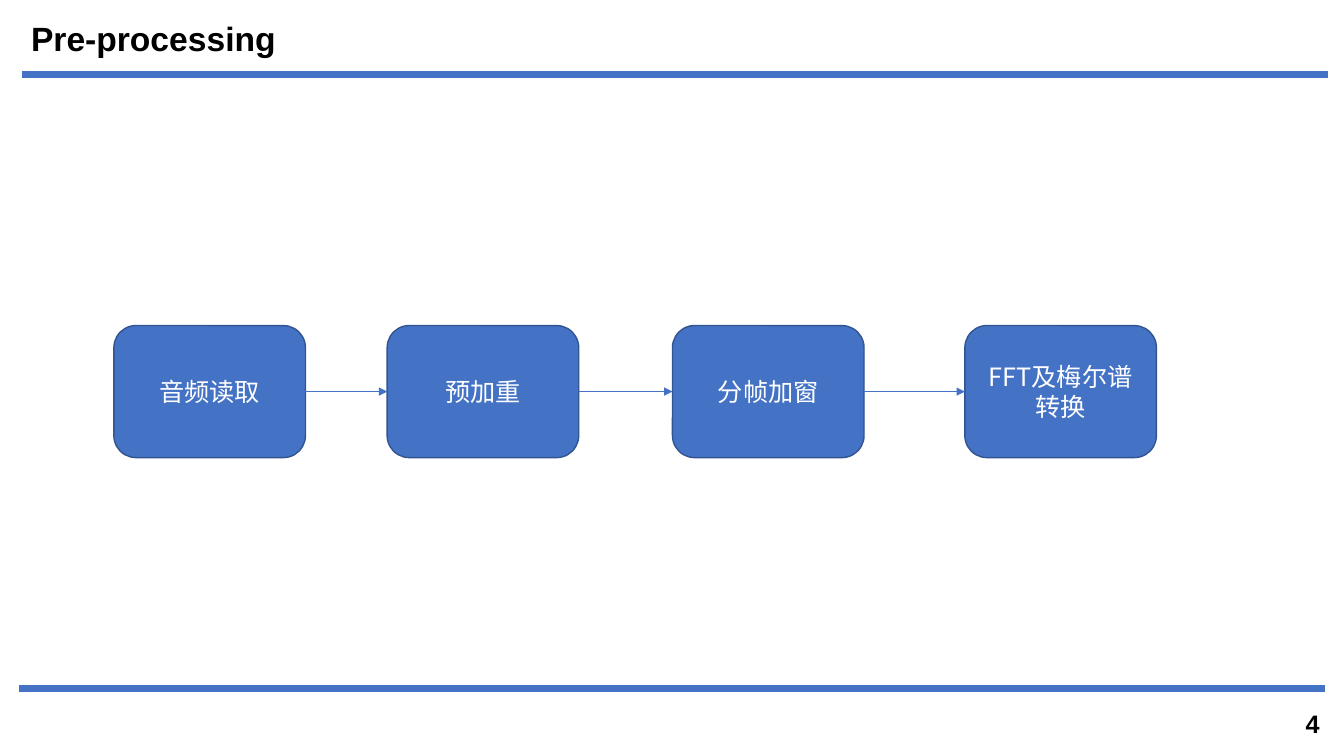
"""Build the Pre-processing slide: a four-step audio pipeline."""
from dataclasses import dataclass
from itertools import pairwise

from lxml import etree
from pptx import Presentation
from pptx import util as u
from pptx.dml.color import RGBColor
from pptx.enum import shapes, text
from pptx.oxml import ns

BLUE = RGBColor(0x44, 0x72, 0xC4)
DARK_BLUE = RGBColor(0x32, 0x54, 0x91)
BLACK = RGBColor(0, 0, 0)
WHITE = RGBColor(0xFF, 0xFF, 0xFF)

STEP_TOP, STEP_WIDTH, STEP_HEIGHT = 3.23, 1.9, 1.31
RULE_LENGTH = 12.95
LEFT_SITE, RIGHT_SITE = 1, 3


@dataclass
class Step:
    label: str
    left: float


@dataclass
class Label:
    content: str
    left: float
    top: float
    width: float
    height: float
    size: int


@dataclass
class Rule:
    left: float
    top: float


STEPS = [
    Step("音频读取", 1.13),
    Step("预加重", 3.84),
    Step("分帧加窗", 6.67),
    Step("FFT及梅尔谱转换", 9.57),
]
LABELS = [
    Label("Pre-processing", 0.21, 0.13, 8.77, 0.5, 24),
    Label("4", 12.85, 6.98, 0.29, 0.4, 18),
]
RULES = [Rule(0.22, 0.74), Rule(0.19, 6.83)]


def add_run(paragraph, content: str, font_name: str, size: int, color: RGBColor, bold: bool = False) -> None:
    """Append a run with the same font for Latin and East Asian text."""
    run = paragraph.add_run()
    run.text = content
    run.font.name = font_name
    run.font.size = u.Pt(size)
    run.font.bold = bold
    run.font.color.rgb = color
    east_asian = etree.SubElement(run.font._element, ns.qn("a:ea"))
    east_asian.set("typeface", font_name)


def add_label(slide, label: Label) -> None:
    """Add a bold black text box."""
    box = slide.shapes.add_textbox(
        u.Inches(label.left), u.Inches(label.top), u.Inches(label.width), u.Inches(label.height)
    )
    box.text_frame.word_wrap = True
    add_run(box.text_frame.paragraphs[0], label.content, "Arial", label.size, BLACK, bold=True)


def add_line(slide, left: float, top: float, length: float, weight: float):
    """Add a horizontal blue line without a shadow."""
    line = slide.shapes.add_connector(
        shapes.MSO_CONNECTOR.STRAIGHT,
        u.Inches(left), u.Inches(top), u.Inches(left + length), u.Inches(top),
    )
    line.line.color.rgb = BLUE
    line.line.width = u.Pt(weight)
    etree.SubElement(line._element.spPr, ns.qn("a:effectLst"))
    return line


def add_step(slide, step: Step):
    """Add a rounded box for one step."""
    shape = slide.shapes.add_shape(
        shapes.MSO_SHAPE.ROUNDED_RECTANGLE,
        u.Inches(step.left), u.Inches(STEP_TOP), u.Inches(STEP_WIDTH), u.Inches(STEP_HEIGHT),
    )
    shape.shadow.inherit = False
    shape.fill.solid()
    shape.fill.fore_color.rgb = BLUE
    shape.line.color.rgb = DARK_BLUE
    shape.line.width = u.Pt(1)
    shape.text_frame.word_wrap = True
    shape.text_frame.vertical_anchor = text.MSO_ANCHOR.MIDDLE
    paragraph = shape.text_frame.paragraphs[0]
    paragraph.alignment = text.PP_ALIGN.CENTER
    add_run(paragraph, step.label, "Noto Sans CJK SC", 18, WHITE)
    return shape


def add_arrow(slide, source, target) -> None:
    """Join two step boxes with an arrow."""
    arrow = add_line(slide, 0, 0, 1, 0.5)
    arrow.begin_connect(source, RIGHT_SITE)
    arrow.end_connect(target, LEFT_SITE)
    outline = arrow.line._get_or_add_ln()
    etree.SubElement(outline, ns.qn("a:tailEnd")).set("type", "triangle")


def main() -> None:
    """Draw and save the slide."""
    presentation = Presentation()
    presentation.slide_width = u.Inches(13.33)
    presentation.slide_height = u.Inches(7.5)
    slide = presentation.slides.add_slide(presentation.slide_layouts[6])
    for label in LABELS:
        add_label(slide, label)
    for rule in RULES:
        add_line(slide, rule.left, rule.top, RULE_LENGTH, 4.5)
    boxes = [add_step(slide, step) for step in STEPS]
    for source, target in pairwise(boxes):
        add_arrow(slide, source, target)
    presentation.save("out.pptx")


if __name__ == "__main__":
    main()
